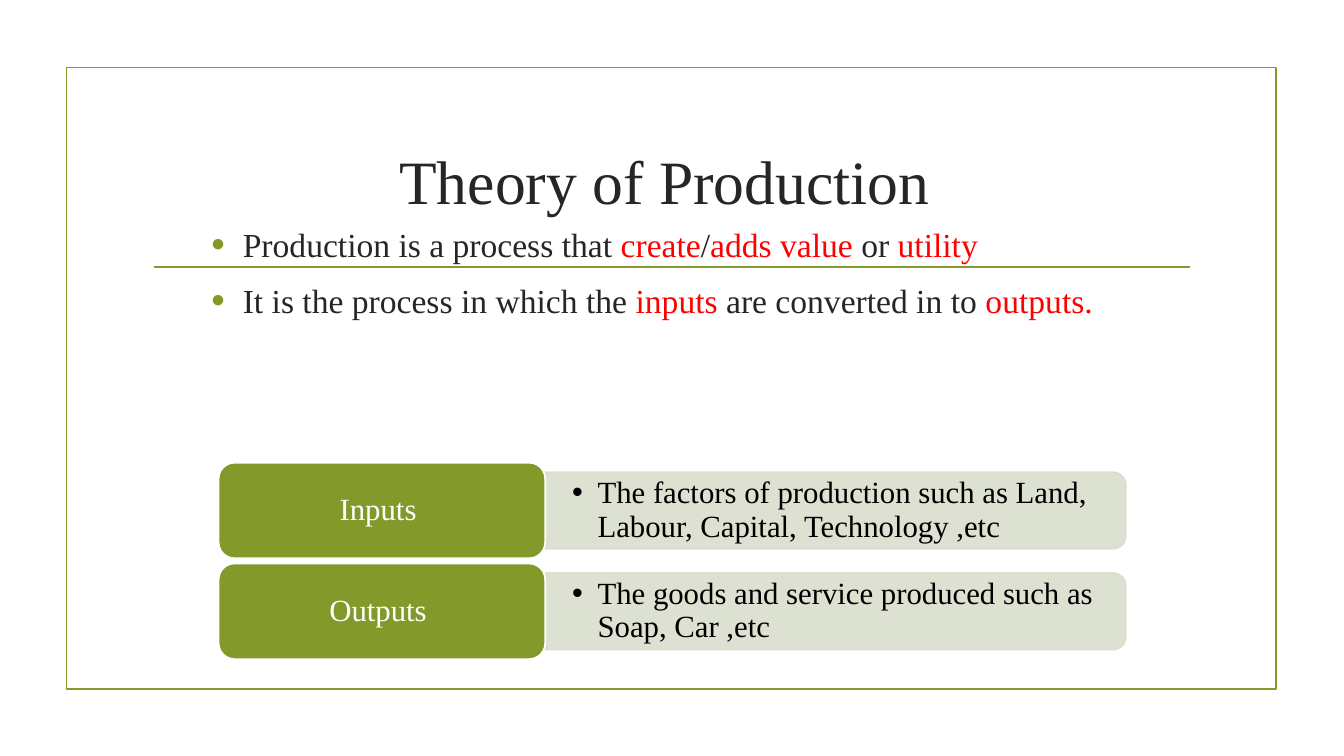
from lxml.etree import SubElement
from pptx import Presentation
from pptx.dml.color import RGBColor
from pptx.enum.shapes import MSO_CONNECTOR, MSO_SHAPE
from pptx.enum.text import MSO_ANCHOR, MSO_AUTO_SIZE, PP_ALIGN
from pptx.oxml.ns import qn
from pptx.util import Cm, Pt

OLIVE, SAGE, INK, RED = "83992A", "D9DECD", "262626", "FF0000"
BLACK, WHITE = "000000", "FFFFFF"


def rgb(value):
    return RGBColor.from_string(value)


class SlideBuilder:
    """Holds the text style and the slide, and draws each kind of element."""

    font_name = "Times New Roman"
    line_width = Pt(1.25)

    def __init__(self, slide):
        self.slide = slide

    def style(self, paragraph, size, color, align):
        paragraph.alignment = align
        paragraph.font.name = self.font_name
        paragraph.font.size = Pt(size)
        paragraph.font.color.rgb = rgb(color)

    def setup_frame(self, frame, anchor, inset_x=0.25, inset_y=0.13):
        frame.word_wrap = True
        frame.auto_size = MSO_AUTO_SIZE.NONE
        frame.vertical_anchor = anchor
        frame.margin_left = frame.margin_right = Cm(inset_x)
        frame.margin_top = frame.margin_bottom = Cm(inset_y)

    def bullet(self, paragraph, color, percent, indent):
        properties = paragraph._p.get_or_add_pPr()
        properties.set("marL", str(Cm(indent)))
        properties.set("indent", str(-Cm(indent)))
        bullet_color = SubElement(properties, qn("a:buClr"))
        SubElement(bullet_color, qn("a:srgbClr"), val=color)
        SubElement(properties, qn("a:buSzPct"), val=str(percent * 1000))
        SubElement(properties, qn("a:buFont"), typeface="Arial")
        SubElement(properties, qn("a:buChar"), char="•")

    def title(self, text, left, top, width, height):
        heading = self.slide.shapes.title
        heading.left, heading.top = Cm(left), Cm(top)
        heading.width, heading.height = Cm(width), Cm(height)
        self.setup_frame(heading.text_frame, MSO_ANCHOR.MIDDLE)
        heading.text_frame.text = text
        self.style(heading.text_frame.paragraphs[0], 44, INK, PP_ALIGN.CENTER)

    def box(self, preset, left, top, width, height, fill, line):
        shape = self.slide.shapes.add_shape(preset, Cm(left), Cm(top), Cm(width), Cm(height))
        shape.shadow.inherit = False
        if fill:
            shape.fill.solid()
            shape.fill.fore_color.rgb = rgb(fill)
        else:
            shape.fill.background()
        shape.line.color.rgb = rgb(line)
        shape.line.width = self.line_width
        return shape

    def rule(self, left, right, y):
        line = self.slide.shapes.add_connector(MSO_CONNECTOR.STRAIGHT, Cm(left), Cm(y), Cm(right), Cm(y))
        line.line.color.rgb = rgb(OLIVE)
        line.line.width = self.line_width
        SubElement(line._element.spPr, qn("a:effectLst"))

    def text_box(self, left, top, width, height, anchor, **insets):
        frame = self.slide.shapes.add_textbox(Cm(left), Cm(top), Cm(width), Cm(height)).text_frame
        self.setup_frame(frame, anchor, **insets)
        return frame

    def points(self, points, left, top, width, height):
        frame = self.text_box(left, top, width, height, MSO_ANCHOR.TOP)
        for index, point in enumerate(points):
            paragraph = frame.add_paragraph() if index else frame.paragraphs[0]
            self.bullet(paragraph, OLIVE, 115, 0.79)
            self.style(paragraph, 24, INK, PP_ALIGN.JUSTIFY)
            paragraph.space_before = Pt(5.5 if index else 0)
            paragraph.space_after = Pt(6)
            for text, color in point:
                run = paragraph.add_run()
                run.text = text
                run.font.color.rgb = rgb(color)

    def label(self, text, left, top, width, height):
        shape = self.box(MSO_SHAPE.ROUNDED_RECTANGLE, left, top, width, height, OLIVE, WHITE)
        self.setup_frame(shape.text_frame, MSO_ANCHOR.MIDDLE)
        paragraph = shape.text_frame.paragraphs[0]
        paragraph.text = text
        paragraph.line_spacing = 0.9
        self.style(paragraph, 22, WHITE, PP_ALIGN.CENTER)

    def panel(self, text, left, middle, width, height):
        shape = self.box(MSO_SHAPE.ROUND_2_SAME_RECTANGLE, left + (width - height) / 2,
                         middle - width / 2, height, width, SAGE, SAGE)
        shape.rotation = 90
        for color in shape._element.spPr.iter(qn("a:srgbClr")):
            SubElement(color, qn("a:alpha"), val="90000")
        frame = self.text_box(left, middle - height / 2, width - 0.1, height,
                              MSO_ANCHOR.MIDDLE, inset_x=0.68, inset_y=0.35)
        paragraph = frame.paragraphs[0]
        paragraph.text = text
        self.bullet(paragraph, BLACK, 100, 0.64)
        paragraph.line_spacing = 0.9
        self.style(paragraph, 22, BLACK, PP_ALIGN.LEFT)


def main():
    presentation = Presentation()
    presentation.slide_width, presentation.slide_height = Cm(33.87), Cm(19.05)
    builder = SlideBuilder(presentation.slides.add_slide(presentation.slide_layouts[5]))

    builder.box(MSO_SHAPE.RECTANGLE, 1.68, 1.7, 30.48, 15.67, None, OLIVE)
    builder.rule(3.89, 30, 6.73)
    builder.title("Theory of Production ", 3.61, 2.72, 26.67, 3.63)
    builder.points([
        [("Production is a process that ", INK), ("create", RED), ("/", INK),
         ("adds value ", RED), ("or", INK), (" utility ", RED)],
        [("It is the process in which the ", INK), ("inputs", RED),
         (" are converted in to ", INK), ("outputs. ", RED)],
    ], 5.08, 5.51, 23.62, 6.12)

    label_left, label_width, label_height = 5.51, 8.23, 2.41
    first_top, pitch = 11.66, 2.54
    rows = [
        ("Inputs ", "The factors of production such as Land, Labour, Capital, Technology ,etc"),
        ("Outputs ", "The goods and service produced such as Soap, Car ,etc"),
    ]
    for index, (name, description) in enumerate(rows):
        top = first_top + index * pitch
        builder.panel(description, label_left + label_width, top + label_height / 2, 14.63, 1.93)
        builder.label(name, label_left, top, label_width, label_height)

    presentation.save("out.pptx")


if __name__ == "__main__":
    main()
